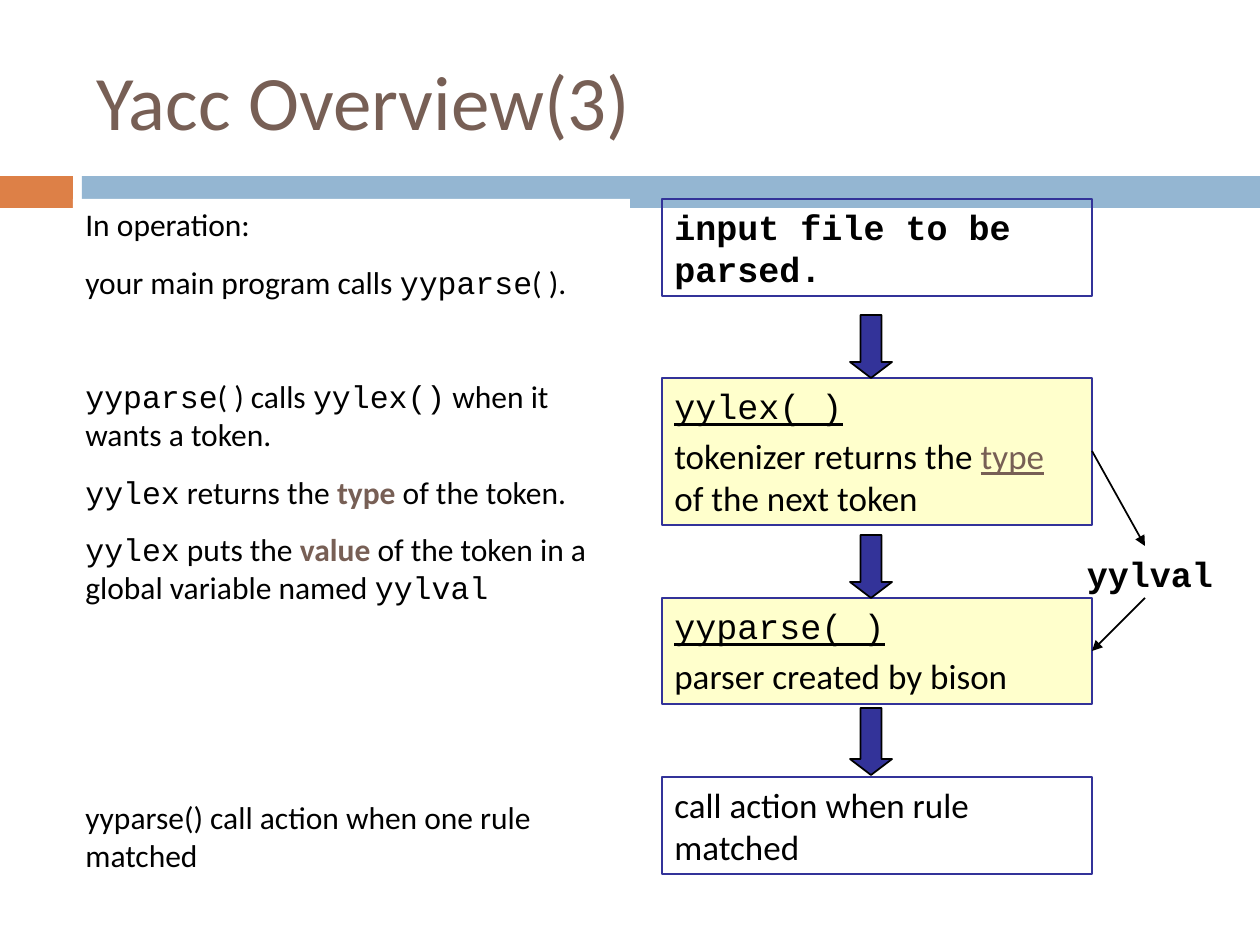
"""Build the Yacc overview slide: operation notes beside a parsing flow chart."""
import pptx
import pptx.dml.color
import pptx.enum.shapes
import pptx.enum.text
import pptx.oxml
import pptx.oxml.ns
import pptx.util

PX = 914400 / 126
SHAPES = pptx.enum.shapes.MSO_SHAPE
ANCHORS = pptx.enum.text.MSO_ANCHOR
ALIGNS = pptx.enum.text.PP_ALIGN
SANS, MONO = "Calibri", "Courier New"
BLACK, BROWN, NAVY, CREAM = "000000", "775F55", "333399", "FFFFCC"


def paint(color_format, color):
    color_format.rgb = pptx.dml.color.RGBColor.from_string(color)


def write(para, text, size=18, font=SANS, color=BLACK, bold=False, underline=False):
    span = para.add_run()
    span.text = text
    span.font.size = pptx.util.Pt(size)
    span.font.name = font
    span.font.bold = bold
    span.font.underline = underline
    paint(span.font.color, color)


deck = pptx.Presentation()
deck.slide_width, deck.slide_height = round(1260 * PX), round(945 * PX)
page = deck.slides.add_slide(deck.slide_layouts[6])

code = {"font": MONO}
accent = {"color": BROWN, "bold": True}
notes = [
    (0, [("In operation:", {})]),
    (11.2, [("your main program calls ", {}), ("yyparse", code), ("( ).", {})]),
    (44, [("yyparse", code), ("( ) calls ", {}), ("yylex()", code),
          (" when it wants a token.", {})]),
    (11.2, [("yylex", code), (" returns the ", {}), ("type", accent), (" of the token.", {})]),
    (11.2, [("yylex", code), (" puts the ", {}), ("value", accent),
            (" of the token in a global variable named ", {}), ("yylval", code)]),
    (110, [("yyparse() call action when one rule matched", {})]),
]

plain = {"size": 20}
strong = {"size": 20, "font": MONO, "bold": True}
heading = {"size": 20, "font": MONO, "underline": True}
linked = {"size": 20, "color": BROWN, "underline": True}
input_step = [(0, [("input file to be parsed.", strong)])]
lexer_step = [
    (0, [("yylex( )", heading)]),
    (5, [("tokenizer returns the ", plain), ("type", linked), (" of the next token", plain)]),
]
parser_step = [(0, [("yyparse( )", heading)]), (5, [("parser created by bison", plain)])]
action_step = [(0, [("call action when rule matched", plain)])]
title = [(0, [("Yacc Overview(3)", {"size": 44, "color": BROWN})])]
token_value = [(0, [("yylval", strong)])]

rectangles = [
    (0, 176, 73, 32, "DD8047", None, []),
    (82, 176, 1178, 32, "94B6D2", None, []),
    (84, 32, 1124, 136, None, None, title),
    (73, 199, 557, 746, "FFFFFF", None, notes),
    (662, 199, 430, 97, None, NAVY, input_step),
    (662, 378, 430, 147, CREAM, NAVY, lexer_step),
    (662, 598, 430, 106, CREAM, NAVY, parser_step),
    (662, 777, 430, 97, None, NAVY, action_step),
    (1071, 546, 158, 55, None, None, token_value),
]
for left, top, width, height, fill, line, paragraphs in rectangles:
    frame = [round(length * PX) for length in (left, top, width, height)]
    if fill or line:
        box = page.shapes.add_shape(SHAPES.RECTANGLE, *frame)
        box.shadow.inherit = False
        if fill:
            box.fill.solid()
            paint(box.fill.fore_color, fill)
        else:
            box.fill.background()
        if line:
            paint(box.line.color, line)
            box.line.width = pptx.util.Pt(1.5)
        else:
            box.line.fill.background()
    else:
        box = page.shapes.add_textbox(*frame)
    box.text_frame.word_wrap = True
    box.text_frame.vertical_anchor = ANCHORS.MIDDLE if paragraphs is title else ANCHORS.TOP
    for index, (space, spans) in enumerate(paragraphs):
        para = box.text_frame.add_paragraph() if index else box.text_frame.paragraphs[0]
        para.alignment = ALIGNS.CENTER if paragraphs is token_value else ALIGNS.LEFT
        para.space_before = pptx.util.Pt(space)
        for text, style in spans:
            write(para, text, **style)

for top, height in [(315, 63), (535, 63), (708, 67)]:
    arrow = page.shapes.add_shape(
        SHAPES.DOWN_ARROW, *[round(length * PX) for length in (850, top, 42, height)])
    arrow.adjustments[0] = 0.5
    arrow.adjustments[1] = 0.38
    arrow.shadow.inherit = False
    arrow.fill.solid()
    paint(arrow.fill.fore_color, NAVY)
    paint(arrow.line.color, BLACK)
    arrow.line.width = pptx.util.Pt(1)

for points in [(1092, 451, 1145, 546), (1145, 598, 1092, 651)]:
    link = page.shapes.add_connector(
        pptx.enum.shapes.MSO_CONNECTOR.STRAIGHT, *[round(point * PX) for point in points])
    paint(link.line.color, BLACK)
    link.line.width = pptx.util.Pt(1)
    tail = pptx.oxml.parse_xml(f'<a:tailEnd {pptx.oxml.ns.nsdecls("a")} type="triangle"/>')
    link.line._get_or_add_ln().append(tail)
    effects = pptx.oxml.parse_xml(f'<a:effectLst {pptx.oxml.ns.nsdecls("a")}/>')
    link._element.spPr.append(effects)

deck.save("out.pptx")
